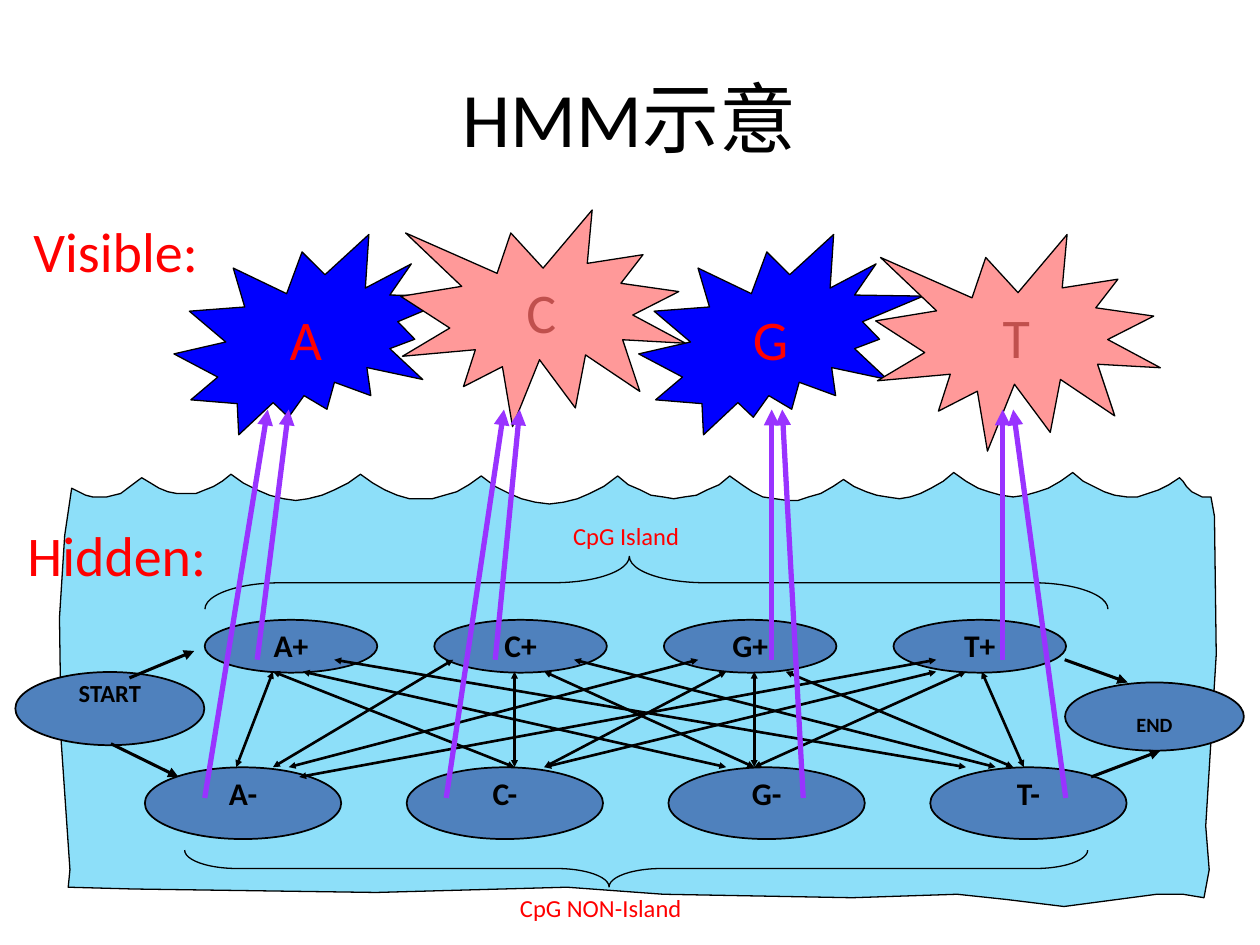
"""Build the HMM diagram of visible bases emitted by hidden CpG states."""
from itertools import pairwise
from lxml import etree
from pptx import Presentation
from pptx import util as u
from pptx.dml.color import RGBColor
from pptx.enum import shapes, text
from pptx.oxml.ns import qn

BLACK = RGBColor(0x00, 0x00, 0x00)
RED = RGBColor(0xFF, 0x00, 0x00)
BRICK = RGBColor(0xC0, 0x50, 0x4D)
BLUE = RGBColor(0x00, 0x00, 0xFF)
PINK = RGBColor(0xFF, 0x99, 0x99)
STEEL = RGBColor(0x4F, 0x81, 0xBD)
WATER = RGBColor(0x8D, 0xDF, 0xF9)
PURPLE = RGBColor(0x99, 0x33, 0xFF)
FONT = "Calibri"
MST = shapes.MSO_SHAPE
LEFT, CENTER = text.PP_ALIGN.LEFT, text.PP_ALIGN.CENTER

prs = Presentation()
prs.slide_width, prs.slide_height = u.Pt(720), u.Pt(540)
s = prs.slides.add_slide(prs.slide_layouts[6])


def paint(sp, fill=None, weight=0.75):
    sp.shadow.inherit = False
    if fill is None:
        sp.fill.background()
    else:
        sp.fill.solid()
        sp.fill.fore_color.rgb = fill
    sp.line.color.rgb = BLACK
    sp.line.width = u.Pt(weight)


def add_arrow(x1, y1, x2, y2, color, weight, ends, size="med"):
    cn = s.shapes.add_connector(shapes.MSO_CONNECTOR.STRAIGHT,
                                u.Pt(x1), u.Pt(y1), u.Pt(x2), u.Pt(y2))
    cn.line.color.rgb = color
    cn.line.width = u.Pt(weight)
    for end in ends:
        etree.SubElement(cn.line._get_or_add_ln(), qn(f"a:{end}"),
                         type="triangle", w=size, len=size)
    etree.SubElement(cn._element.spPr, qn("a:effectLst"))


crests = [(41, 279), (81, 273), (132, 271), (206, 271), (275, 272), (353, 272), (417, 272),
          (482, 274), (545, 270), (613, 270), (674, 273), (692, 284)]
shore = [(694, 295), (695, 374), (689, 472), (691, 497), (688, 513), (676, 511), (661, 511),
         (608, 518), (575, 514), (547, 511), (487, 513), (379, 511), (324, 507), (215, 510),
         (76, 508), (39, 507), (40, 497), (35, 424), (34, 353), (37, 306)]
waves = []
for (x1, y1), (x2, y2) in pairwise(crests):
    for step in range(1, 11):
        t = step / 10
        sag = 0.8 * (x2 - x1) * t * (1 - t)
        waves.append((x1 + (x2 - x1) * t, y1 + (y2 - y1) * t + sag))
fb = s.shapes.build_freeform(*crests[0], scale=u.Pt(1))
fb.add_line_segments(waves + shore, close=True)
paint(fb.convert_to_shape(), WATER)

states = [("END", 608.6, 390, 102.2, 39, 46, 20), ("START", 8.8, 384, 108, 41.8, 45.4, 14)]
for i, base in enumerate("ACGT"):
    states.append((f"{base}+", 117 + 131.2 * i, 354.2, 98.6, 30.2, 28.8, 18))
    states.append((f"{base}-", 82.8 + 149.6 * i, 438.5, 112.2, 41, 28.8, 18))
labels = []
for name, x, y, w, h, text_h, size in states:
    paint(s.shapes.add_shape(MST.OVAL, u.Pt(x), u.Pt(y), u.Pt(w), u.Pt(h)), STEEL, 1)
    labels.append((name, x, y, w, text_h, size, BLACK, CENTER))

transitions = {
    383.8: [(156, 135), (294, 294), (431, 431), (561, 585), (156, 294), (173, 415),
            (311, 431), (415, 311), (449, 579), (552, 431), (535, 311)],
    377: [(191, 552), (259, 156), (328, 569), (399, 165), (535, 171)],
}
for top, spans in transitions.items():
    for x1, x2 in spans:
        add_arrow(x1, top, x2, 444 if x2 == 171 else 438.4, BLACK, 1.5,
                  ("headEnd", "tailEnd"), "sm")

for ends in [(111, 372, 74, 387.4), (644.4, 390, 608.4, 377),
             (102, 444, 63.4, 425), (663, 429, 623.5, 444)]:
    add_arrow(*ends, BLACK, 1.75, ("headEnd",))

for x, y, w, angle in [(360, 75, 30.2, 90), (353, 238.3, 21, 270)]:
    brace = s.shapes.add_shape(MST.LEFT_BRACE, u.Pt(x), u.Pt(y), u.Pt(w), u.Pt(516))
    paint(brace)
    brace.adjustments[0], brace.adjustments[1] = 1.43, 0.53
    brace.rotation = angle
    if angle == 270:
        brace._element.spPr.xfrm.set("flipV", "1")

labels += [
    ("CpG Island", 320.4, 294, 150, 24, 14, RED, LEFT),
    ("CpG NON-Island", 290, 507, 204, 24, 14, RED, LEFT),
    ("Hidden:", 8.6, 294, 150, 45.4, 32, RED, LEFT),
    ("Visible:", 12, 120, 168, 45.4, 32, RED, LEFT),
    ("HMM示意", 36, 21.6, 648, 90, 44, BLACK, CENTER),
]
for label, x, y, w, h, size, color, align in labels:
    tf = s.shapes.add_textbox(u.Pt(x), u.Pt(y), u.Pt(w), u.Pt(h)).text_frame
    tf.word_wrap = True
    tf.text = label
    p = tf.paragraphs[0]
    p.alignment = align
    r = p.runs[0]
    r.font.name, r.font.size, r.font.color.rgb = FONT, u.Pt(size), color
    r.font.bold = color == BLACK and size <= 20
    if label == "END":
        r._r.get_or_add_rPr().set("baseline", "-25000")
tf.vertical_anchor = text.MSO_ANCHOR.MIDDLE

for base, kind, x, y, h, fill, color in [
    ("A", MST.EXPLOSION2, 99.4, 134, 114.5, BLUE, RED),
    ("G", MST.EXPLOSION2, 365, 134, 114.5, BLUE, RED),
    ("T", MST.EXPLOSION1, 500.4, 134, 123.8, PINK, BRICK),
    ("C", MST.EXPLOSION1, 229, 120, 123.8, PINK, BRICK),
]:
    sp = s.shapes.add_shape(kind, u.Pt(x), u.Pt(y), u.Pt(162.7), u.Pt(h))
    paint(sp, fill)
    tf = sp.text_frame
    tf.word_wrap = False
    tf.vertical_anchor = text.MSO_ANCHOR.MIDDLE
    tf.text = base
    p = tf.paragraphs[0]
    p.alignment = CENTER
    r = p.runs[0]
    r.font.name, r.font.size, r.font.color.rgb = FONT, u.Pt(32), color

emissions = {
    456: [(117, 153), (255, 288), (459, 447), (609, 579)],
    377: [(147, 165), (283, 297), (441, 441), (573, 573)],
}
for bottom, spans in emissions.items():
    for x1, x2 in spans:
        add_arrow(x1, bottom, x2, 234, PURPLE, 3, ("tailEnd",))

prs.save("out.pptx")
